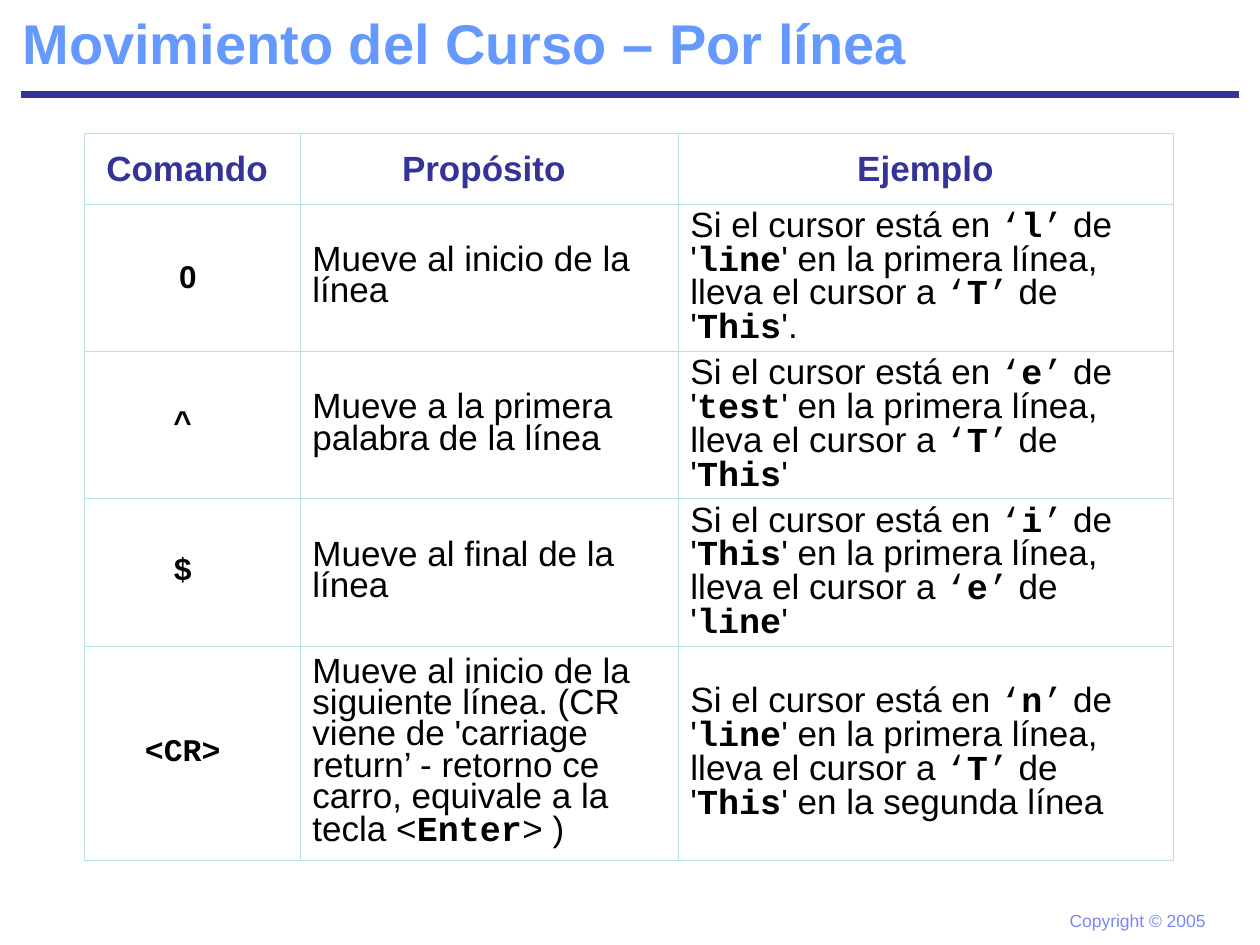
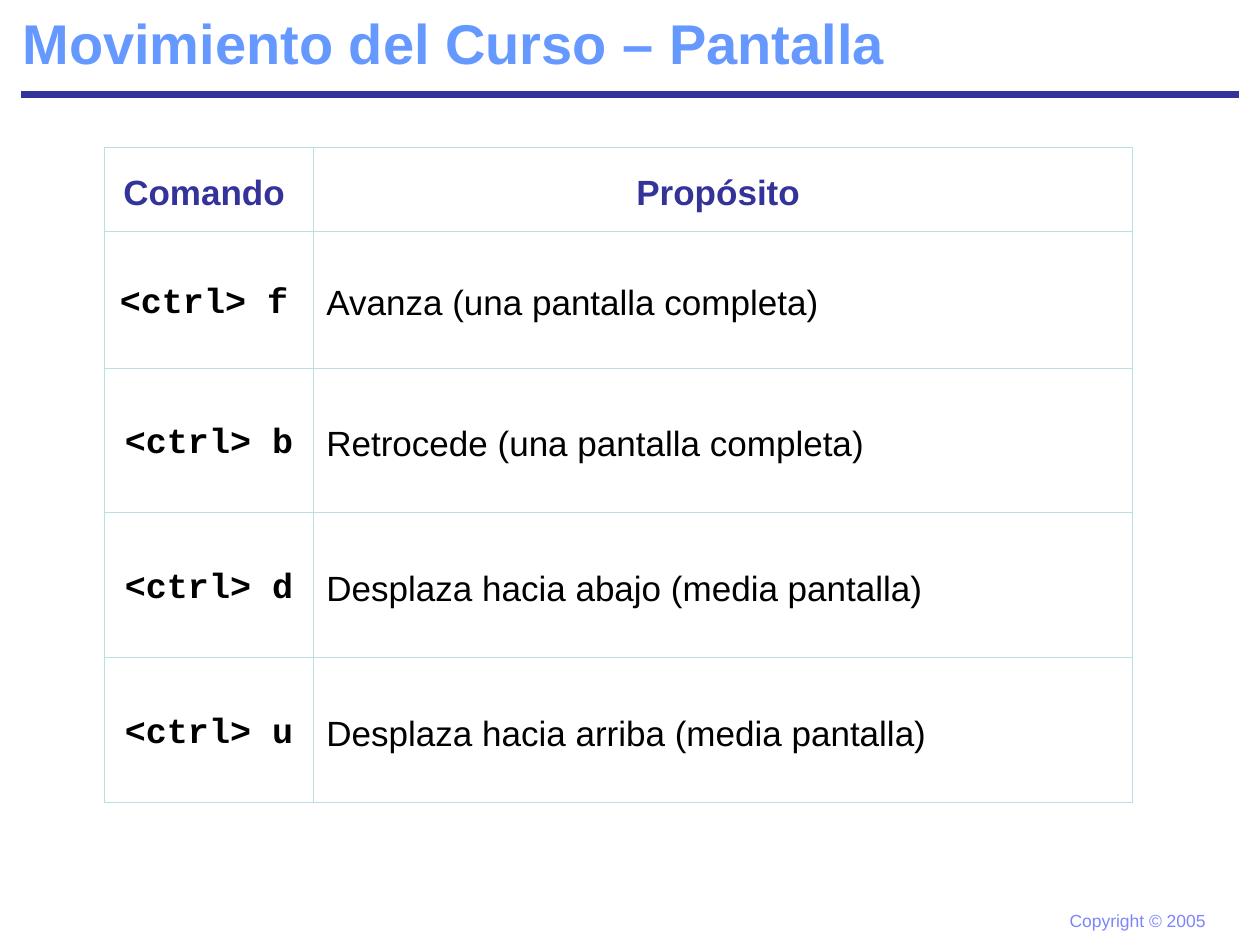
from dataclasses import dataclass
from typing import NamedTuple

import lxml.etree
import pptx
import pptx.dml.color
import pptx.enum.shapes
import pptx.enum.text
import pptx.oxml.ns
import pptx.util
from pptx.util import Inches

TITLE_BLUE, NAVY, LILAC, BLACK = "6699FF", "333399", "7C85FC", "000000"
BORDER = "BBE0E3"
SANS, MONO = "Arial", "Courier New"
MIDDLE = pptx.enum.text.MSO_ANCHOR.MIDDLE
CENTER = pptx.enum.text.PP_ALIGN.CENTER
LEFT = pptx.enum.text.PP_ALIGN.LEFT


class Run(NamedTuple):
    text: str
    font: str = SANS
    bold: bool = False


@dataclass
class Cell:
    """Table cell; shift is extra right margin that moves centred text left."""
    runs: list[Run]
    size: float = 20
    color: str = BLACK
    centered: bool = False
    shift: float = 0


@dataclass
class TableSlide:
    title: str
    left: float
    top: float
    columns: list[float]
    heights: list[float]
    line_spacing: list[float]
    rows: list[list[Cell]]


def header(text: str, shift: float = 0.08) -> Cell:
    return Cell([Run(text, bold=True)], color=NAVY, centered=True, shift=shift)


def command(text: str, size: float = 18, font: str = MONO, shift: float = 0.15) -> Cell:
    return Cell([Run(text, font, True)], size, centered=True, shift=shift)


def purpose(text: str) -> Cell:
    return Cell([Run(text)])


def code(text: str) -> Run:
    return Run(text, MONO, True)


def place(letter: str, word: str) -> list[Run]:
    """A quoted letter and the word it belongs to, up to the word's closing quote."""
    return [Run("‘", MONO), code(letter), Run("’", MONO), Run(" de '"), code(word)]


def example(start: tuple[str, str], end: tuple[str, str], closing: str = "'") -> Cell:
    return Cell([
        Run("Si el cursor está en "), *place(*start),
        Run("' en la primera línea, lleva el cursor a "), *place(*end), Run(closing),
    ])


BY_LINE = TableSlide(
    "Movimiento del Curso – Por línea", 0.67, 1.06,
    [1.71, 3, 3.93], [0.56, 1.17, 1.17, 1.17, 1.7], [1, 0.8, 0.8],
    [
        [header("Comando"), header("Propósito"), header("Ejemplo", 0)],
        [command("0", font=SANS, shift=0.07), purpose("Mueve al inicio de la línea"),
         example(("l", "line"), ("T", "This"), "'.")],
        [command("^"), purpose("Mueve a la primera palabra de la línea"),
         example(("e", "test"), ("T", "This"))],
        [command("$"), purpose("Mueve al final de la línea"),
         example(("i", "This"), ("e", "line"))],
        [command("<CR>"),
         Cell([Run("Mueve al inicio de la siguiente línea. (CR viene de 'carriage return’"
                   " - retorno ce carro, equivale a la tecla <"),
               code("Enter"), Run(">", MONO), Run(" )")]),
         example(("n", "line"), ("T", "This"), "' en la segunda línea")],
    ],
)

BY_SCREEN = TableSlide(
    "Movimiento del Curso – Pantalla", 0.83, 1.17,
    [1.66, 6.5], [0.67, 1.08, 1.15, 1.15, 1.15], [1.2, 1.2],
    [
        [header("Comando"), header("Propósito")],
        [command("<ctrl> f", 20, shift=0.08), purpose("Avanza (una pantalla completa)")],
        [command("<ctrl> b", 20, shift=0), purpose("Retrocede (una pantalla completa)")],
        [command("<ctrl> d", 20, shift=0), purpose("Desplaza hacia abajo (media pantalla)")],
        [command("<ctrl> u", 20, shift=0), purpose("Desplaza hacia arriba (media pantalla)")],
    ],
)


def rgb(color: str) -> pptx.dml.color.RGBColor:
    return pptx.dml.color.RGBColor.from_string(color)


def add_runs(p, runs: list[Run], size: float, color: str) -> None:
    for run in runs:
        r = p.add_run()
        r.text = run.text
        r.font.name = run.font
        r.font.bold = run.bold
        r.font.size = pptx.util.Pt(size)
        r.font.color.rgb = rgb(color)


def add_text(s, box: tuple[float, float, float, float], run: Run, size: float,
             color: str, wrap: bool) -> None:
    tf = s.shapes.add_textbox(*map(Inches, box)).text_frame
    tf.word_wrap = wrap
    tf.vertical_anchor = MIDDLE
    add_runs(tf.paragraphs[0], [run], size, color)


def add_frame(s, title: str) -> None:
    """Rule, copyright line and title common to all slides."""
    rule = s.shapes.add_connector(pptx.enum.shapes.MSO_CONNECTOR.STRAIGHT,
                                  Inches(0.17), Inches(0.75), Inches(9.83), Inches(0.75))
    rule.line.color.rgb = rgb(NAVY)
    rule.line.width = pptx.util.Pt(4.5)
    lxml.etree.SubElement(rule._element.spPr, pptx.oxml.ns.qn("a:effectLst"))
    add_text(s, (8.39, 7.17, 1.28, 0.27), Run("Copyright © 2005"), 10, LILAC, False)
    add_text(s, (0.08, 0, 8.5, 0.67), Run(title, bold=True), 32, TITLE_BLUE, True)


def set_borders(cell) -> None:
    qn = pptx.oxml.ns.qn
    tc_pr = cell._tc.get_or_add_tcPr()
    for i, side in enumerate(("lnL", "lnR", "lnT", "lnB")):
        ln = lxml.etree.Element(qn(f"a:{side}"), w=str(pptx.util.Pt(0.45)))
        fill = lxml.etree.SubElement(ln, qn("a:solidFill"))
        lxml.etree.SubElement(fill, qn("a:srgbClr"), val=BORDER)
        tc_pr.insert(i, ln)


def fill_cell(cell, content: Cell, line_spacing: float) -> None:
    cell.fill.background()
    set_borders(cell)
    cell.vertical_anchor = MIDDLE
    cell.margin_right = Inches(0.1 + content.shift)
    p = cell.text_frame.paragraphs[0]
    p.alignment = CENTER if content.centered else LEFT
    p.line_spacing = line_spacing
    add_runs(p, content.runs, content.size, content.color)


def add_command_table(s, data: TableSlide) -> None:
    table = s.shapes.add_table(
        len(data.rows), len(data.columns), Inches(data.left), Inches(data.top),
        Inches(sum(data.columns)), Inches(sum(data.heights))).table
    table.first_row = table.horz_banding = False
    for column, width in zip(table.columns, data.columns):
        column.width = Inches(width)
    for row, height, contents in zip(table.rows, data.heights, data.rows):
        row.height = Inches(height)
        for cell, content, spacing in zip(row.cells, contents, data.line_spacing):
            header_spacing = max(spacing, 1)
            fill_cell(cell, content, header_spacing if content.color == NAVY else spacing)


def main() -> None:
    prs = pptx.Presentation()
    prs.slide_width, prs.slide_height = Inches(10), Inches(7.5)
    for data in (BY_LINE, BY_SCREEN):
        s = prs.slides.add_slide(prs.slide_layouts[6])
        add_frame(s, data.title)
        add_command_table(s, data)
    prs.save("out.pptx")


if __name__ == "__main__":
    main()
